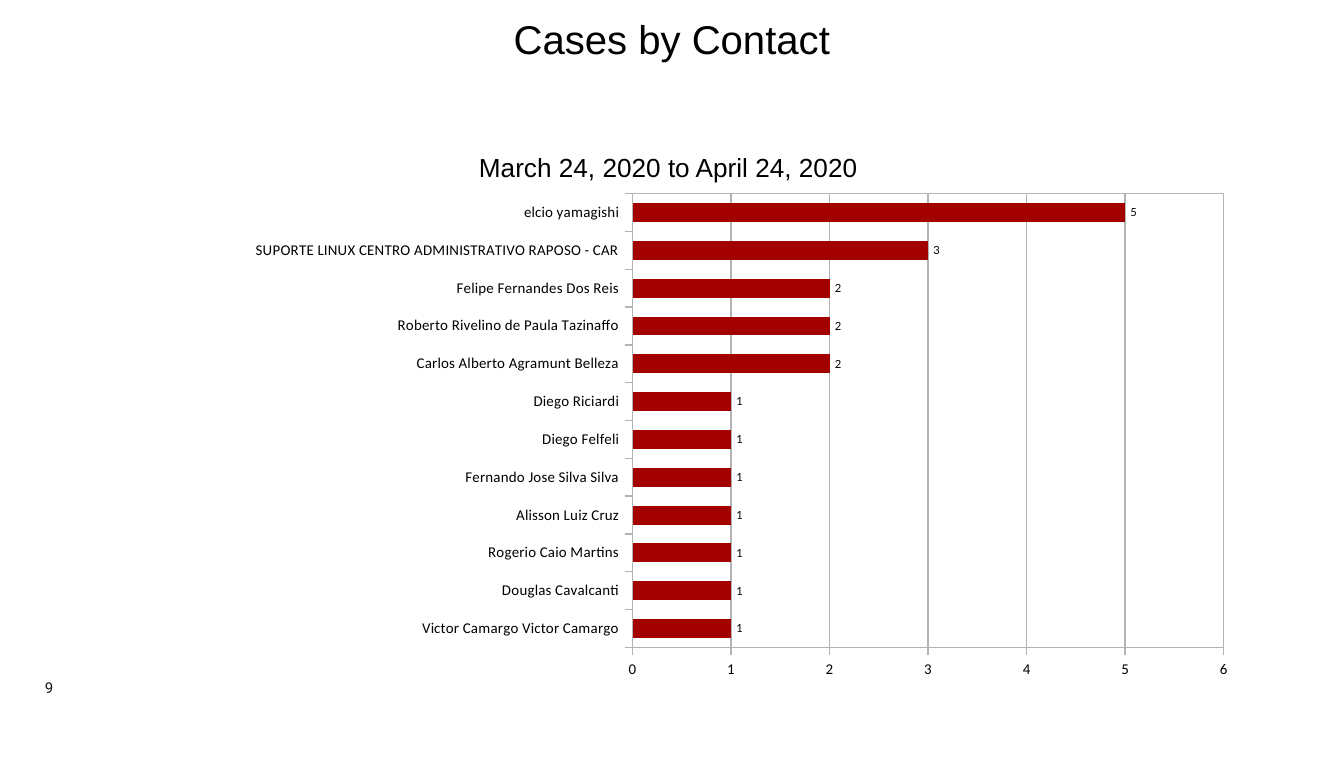
from lxml import etree
from pptx import Presentation
from pptx.chart.data import CategoryChartData
from pptx.dml.color import RGBColor
from pptx.enum.chart import XL_CHART_TYPE as ChartType
from pptx.enum.chart import XL_LABEL_POSITION as LabelPosition
from pptx.enum.chart import XL_TICK_MARK as TickMark
from pptx.enum.text import MSO_ANCHOR as Anchor
from pptx.enum.text import PP_ALIGN as Align
from pptx.oxml import parse_xml
from pptx.oxml.ns import nsdecls, qn
from pptx.util import Pt

BLACK = RGBColor(0x00, 0x00, 0x00)
CHARCOAL = RGBColor(0x14, 0x14, 0x14)
GREY = RGBColor(0xB3, 0xB3, 0xB3)
RED = RGBColor(0xA3, 0x00, 0x00)
WHITE = RGBColor(0xFF, 0xFF, 0xFF)

# Contacts from the bottom bar to the top one
CASES_BY_CONTACT = {
    "Victor Camargo Victor Camargo": 1,
    "Douglas Cavalcanti": 1,
    "Rogerio Caio Martins": 1,
    "Alisson Luiz Cruz": 1,
    "Fernando Jose Silva Silva": 1,
    "Diego Felfeli": 1,
    "Diego Riciardi": 1,
    "Carlos Alberto Agramunt Belleza": 2,
    "Roberto Rivelino de Paula Tazinaffo": 2,
    "Felipe Fernandes Dos Reis": 2,
    "SUPORTE LINUX CENTRO ADMINISTRATIVO RAPOSO - CAR": 3,
    "elcio yamagishi": 5,
}
PLOT_LAYOUT = {"x": 0.136, "y": 0.019, "w": 0.851, "h": 0.967}


def set_font(font, name, size, color=BLACK):
    font.name = name
    font.size = Pt(size)
    font.color.rgb = color


def write_text(shape, text, font="Arial", size=14, color=BLACK, anchor=Anchor.MIDDLE):
    """Fill a shape with one centred paragraph, without insets."""
    frame = shape.text_frame
    frame.word_wrap = True
    frame.vertical_anchor = anchor
    frame.margin_left = frame.margin_right = frame.margin_top = frame.margin_bottom = 0
    paragraph = frame.paragraphs[0]
    paragraph.alignment = Align.CENTER
    run = paragraph.add_run()
    run.text = text
    set_font(run.font, font, size, color)


class SlideBuilder:
    def __init__(self, presentation):
        self.axis_font = "Calibri"
        self.label_font = "Lato"
        self.slide = presentation.slides.add_slide(presentation.slide_layouts[5])
        fill = self.slide.background.fill
        fill.solid()
        fill.fore_color.rgb = WHITE

    def title(self, text, left, top, width, height, **style):
        shape = self.slide.shapes.title
        shape.left, shape.top = Pt(left), Pt(top)
        shape.width, shape.height = Pt(width), Pt(height)
        write_text(shape, text, **style)

    def text(self, text, left, top, width, height, **style):
        shape = self.slide.shapes.add_textbox(Pt(left), Pt(top), Pt(width), Pt(height))
        write_text(shape, text, **style)

    def bar_chart(self, values, left, top, width, height):
        data = CategoryChartData()
        data.categories = list(values)
        data.add_series("Series 1", list(values.values()))
        chart = self.slide.shapes.add_chart(
            ChartType.BAR_CLUSTERED, Pt(left), Pt(top), Pt(width), Pt(height), data
        ).chart
        chart.has_title = False
        chart.has_legend = False
        set_font(chart.font, "Arial", 10)

        # Bars and their value labels
        plot = chart.plots[0]
        plot.gap_width = 100
        plot.vary_by_categories = False
        series = plot.series[0]
        bars = series.format.fill
        bars.solid()
        bars.fore_color.rgb = RED
        labels = series.data_labels
        labels.show_value = True
        labels.position = LabelPosition.OUTSIDE_END
        set_font(labels.font, self.label_font, 6)

        # Axes and gridlines
        for axis in (chart.category_axis, chart.value_axis):
            axis.major_tick_mark = TickMark.OUTSIDE
            axis.minor_tick_mark = TickMark.NONE
            set_font(axis.tick_labels.font, self.axis_font, 8)
            self.hairline(axis.format.line)
        value_axis = chart.value_axis
        value_axis.minimum_scale, value_axis.maximum_scale = 0, 6
        value_axis.major_unit = 1
        value_axis.has_major_gridlines = True
        self.hairline(value_axis.major_gridlines.format.line)
        self.frame_plot(chart)

    def hairline(self, line):
        line.color.rgb = GREY
        line.width = Pt(0)

    def frame_plot(self, chart):
        """Place the plot area, tick labels included, and outline it."""
        area = chart.plots[0]._element.getparent()
        for old_layout in area.findall(qn("c:layout")):
            area.remove(old_layout)
        layout = etree.Element(qn("c:layout"))
        manual = etree.SubElement(layout, qn("c:manualLayout"))
        etree.SubElement(manual, qn("c:layoutTarget"), val="outer")
        for key in "xy":
            etree.SubElement(manual, qn(f"c:{key}Mode"), val="edge")
        for key, share in PLOT_LAYOUT.items():
            etree.SubElement(manual, qn(f"c:{key}"), val=str(share))
        area.insert(0, layout)
        area.append(parse_xml(
            f'<c:spPr {nsdecls("c", "a")}><a:noFill/><a:ln w="0"><a:solidFill>'
            f'<a:srgbClr val="{GREY}"/></a:solidFill></a:ln></c:spPr>'
        ))


def main():
    presentation = Presentation()
    presentation.slide_width, presentation.slide_height = Pt(720), Pt(405.36)
    builder = SlideBuilder(presentation)
    left, width = 53.75, 612

    builder.title("Cases by Contact", 54, 7.6, width, 26, size=21.5)
    builder.bar_chart(CASES_BY_CONTACT, left, 98.6, width, 268.8)
    builder.text("March 24, 2020 to April 24, 2020 ", 54, 69, width, 41)
    # Slide number
    builder.text("9", 2.3, 362, 48, 11, font="Roboto", size=8, color=CHARCOAL,
                 anchor=Anchor.BOTTOM)

    presentation.save("out.pptx")


if __name__ == "__main__":
    main()
